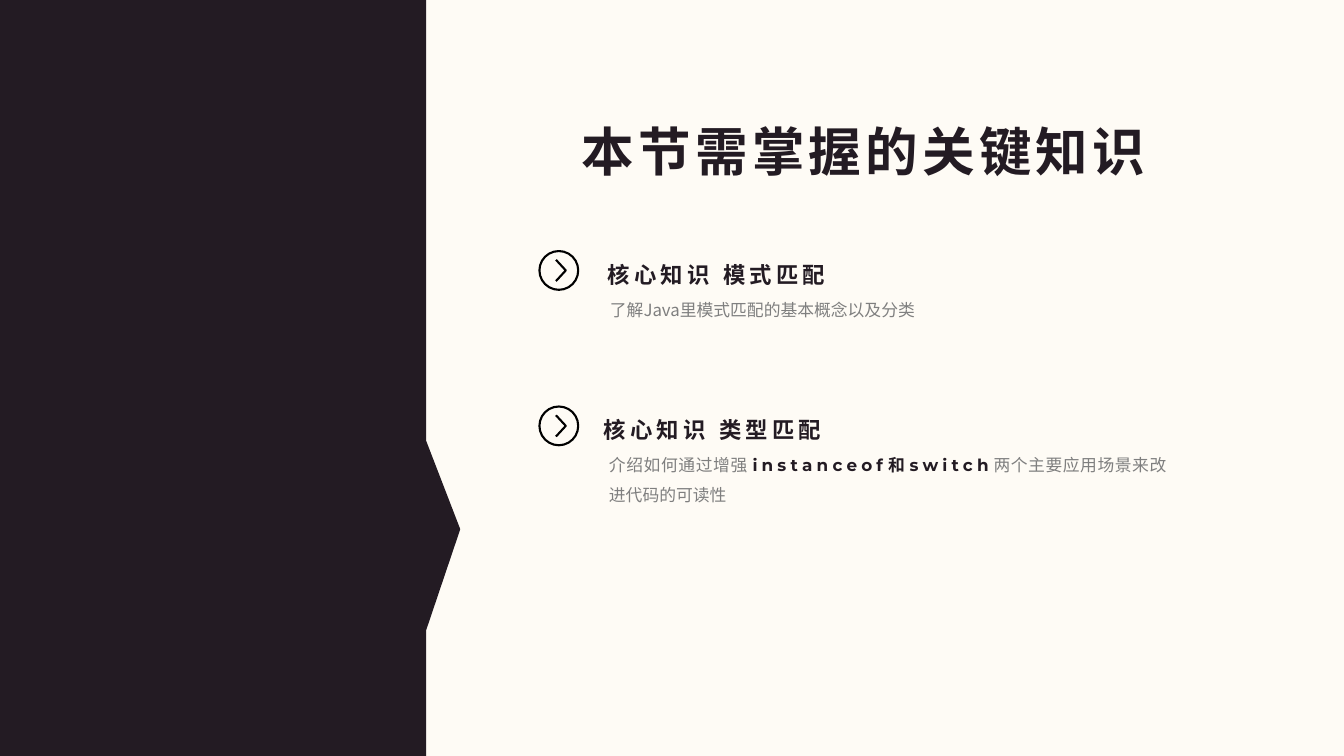
from dataclasses import dataclass

from pptx import Presentation
from pptx.dml.color import RGBColor
from pptx.enum.shapes import MSO_SHAPE as Shape
from pptx.enum.text import MSO_ANCHOR as Anchor, MSO_AUTO_SIZE as AutoSize, PP_ALIGN as Align
from pptx.oxml import parse_xml
from pptx.oxml.ns import nsdecls
from pptx.util import Inches, Pt


@dataclass(frozen=True)
class Style:
    font: str
    size: float
    color: RGBColor
    bold: bool = False
    tracking: int = 0


@dataclass(frozen=True)
class Theme:
    ink = RGBColor.from_string("231B23")
    paper = RGBColor.from_string("FEFBF5")
    icon = RGBColor.from_string("000000")
    east_asian = "Noto Sans CJK JP"
    title = Style("Arial", 37.5, ink, True, 3)
    heading = Style("Montserrat", 16, ink, True, 3)
    body = Style("Noto Sans CJK JP", 12, RGBColor.from_string("7F7F7F"))
    keyword = Style("Montserrat", 12, ink, True, 3)
    stroke = Pt(1.5)


@dataclass(frozen=True)
class Box:
    left: int
    top: int
    width: int
    height: int

    def inner(self, x, y, w, h):
        """Return an inner box given in percent of this one."""
        return Box(self.left + round(self.width * x / 100), self.top + round(self.height * y / 100),
                   round(self.width * w / 100), round(self.height * h / 100))

    @property
    def frame(self):
        return self.left, self.top, self.width, self.height


THEME = Theme()
TITLE = "本节需掌握的关键知识"


@dataclass(frozen=True)
class Topic:
    heading: str
    body: tuple
    heading_x: float
    body_x: float
    body_width: float


TOPICS = (
    Topic("核心知识 模式匹配",
          (("了解Java里模式匹配的基本概念以及分类", THEME.body),), 8.74, 10.52, 89.48),
    Topic("核心知识 类型匹配",
          (("介绍如何通过增强 ", THEME.body), ("instanceof和switch", THEME.keyword),
           ("两个主要应用场景来改进代码的可读性", THEME.body)), 8.15, 10.37, 81.93),
)


def style_font(font, style):
    font.name, font.size, font.bold = style.font, Pt(style.size), style.bold
    font.color.rgb = style.color


def add_text(slide, box, spans, wrap=True, padded=False):
    """Add a one-paragraph text box of (text, style) spans and return its paragraph."""
    frame = slide.shapes.add_textbox(*box.frame).text_frame
    frame.word_wrap = wrap
    frame.auto_size = AutoSize.SHAPE_TO_FIT_TEXT
    if padded:
        frame.vertical_anchor = Anchor.MIDDLE
    else:
        frame.margin_left = frame.margin_top = frame.margin_right = frame.margin_bottom = 0
    para = frame.paragraphs[0]
    if len(spans) == 1:
        style_font(para.font, spans[0][1])
    for text, style in spans:
        span = para.add_run()
        span.text = text
        if len(spans) > 1:
            style_font(span.font, style)
        props = span._r.get_or_add_rPr()
        props.set("lang", "zh-CN")
        props.set("spc", str(style.tracking * 100))
        east_asian = parse_xml(f'<a:ea {nsdecls("a")} typeface="{THEME.east_asian}"/>')
        latin = props.find("{*}latin")
        if latin is None:
            props.append(east_asian)
        else:
            latin.addnext(east_asian)
    return para


def add_side_panel(slide, box):
    """Fill the box with a callout turned so that its tip points right."""
    left = box.left + (box.width - box.height) // 2
    top = box.top + (box.height - box.width) // 2
    panel = slide.shapes.add_shape(Shape.RECTANGULAR_CALLOUT, left, top, box.height, box.width)
    panel.rotation = 270
    panel.adjustments[0], panel.adjustments[1] = -0.2, 0.58
    panel.shadow.inherit = False
    panel.fill.solid()
    panel.fill.fore_color.rgb = panel.line.color.rgb = THEME.ink
    panel.line.width = Pt(1)


def add_title(slide, box):
    para = add_text(slide, box, ((TITLE, THEME.title),), wrap=False)
    para.line_spacing = Pt(48)


def add_arrow_icon(slide, box):
    """Draw a ring with a chevron inside it."""
    ring = slide.shapes.add_shape(Shape.OVAL, *box.inner(2.5, 2.5, 95, 95).frame)
    sketch = box.inner(43, 24, 24, 52)
    right, middle = sketch.left + sketch.width, sketch.top + sketch.height // 2
    builder = slide.shapes.build_freeform(sketch.left, sketch.top)
    builder.add_line_segments(
        [(right, middle), (sketch.left, sketch.top + sketch.height)], close=False)
    for shape in (ring, builder.convert_to_shape()):
        shape.shadow.inherit = False
        shape.fill.background()
        shape.line.color.rgb = THEME.icon
        shape.line.width = THEME.stroke


def add_topic(slide, box, topic):
    icon_size = round(box.width * 0.06)
    add_arrow_icon(slide, Box(box.left, box.top, icon_size, icon_size))
    add_text(slide, box.inner(topic.heading_x, 3.6, 91, 24),
             ((topic.heading, THEME.heading),), padded=True)
    para = add_text(slide, box.inner(topic.body_x, 25.3, topic.body_width, 37), topic.body)
    para.alignment = Align.JUSTIFY
    para.line_spacing = 1.5


def add_topics(slide, box):
    share = 100 / len(TOPICS)
    for row, topic in enumerate(TOPICS):
        add_topic(slide, box.inner(0, row * share, 100, share), topic)


def main():
    deck = Presentation()
    deck.slide_width, deck.slide_height = Inches(13.33), Inches(7.5)
    slide = deck.slides.add_slide(deck.slide_layouts[6])
    slide.background.fill.solid()
    slide.background.fill.fore_color.rgb = THEME.paper
    page = Box(0, 0, deck.slide_width, deck.slide_height)
    add_side_panel(slide, page.inner(0, 0, 31.66, 100))
    add_title(slide, page.inner(43.29, 15.2, 42.61, 8.4))
    add_topics(slide, page.inner(40.06, 33.07, 50.64, 41.13))
    deck.save("out.pptx")


if __name__ == "__main__":
    main()
